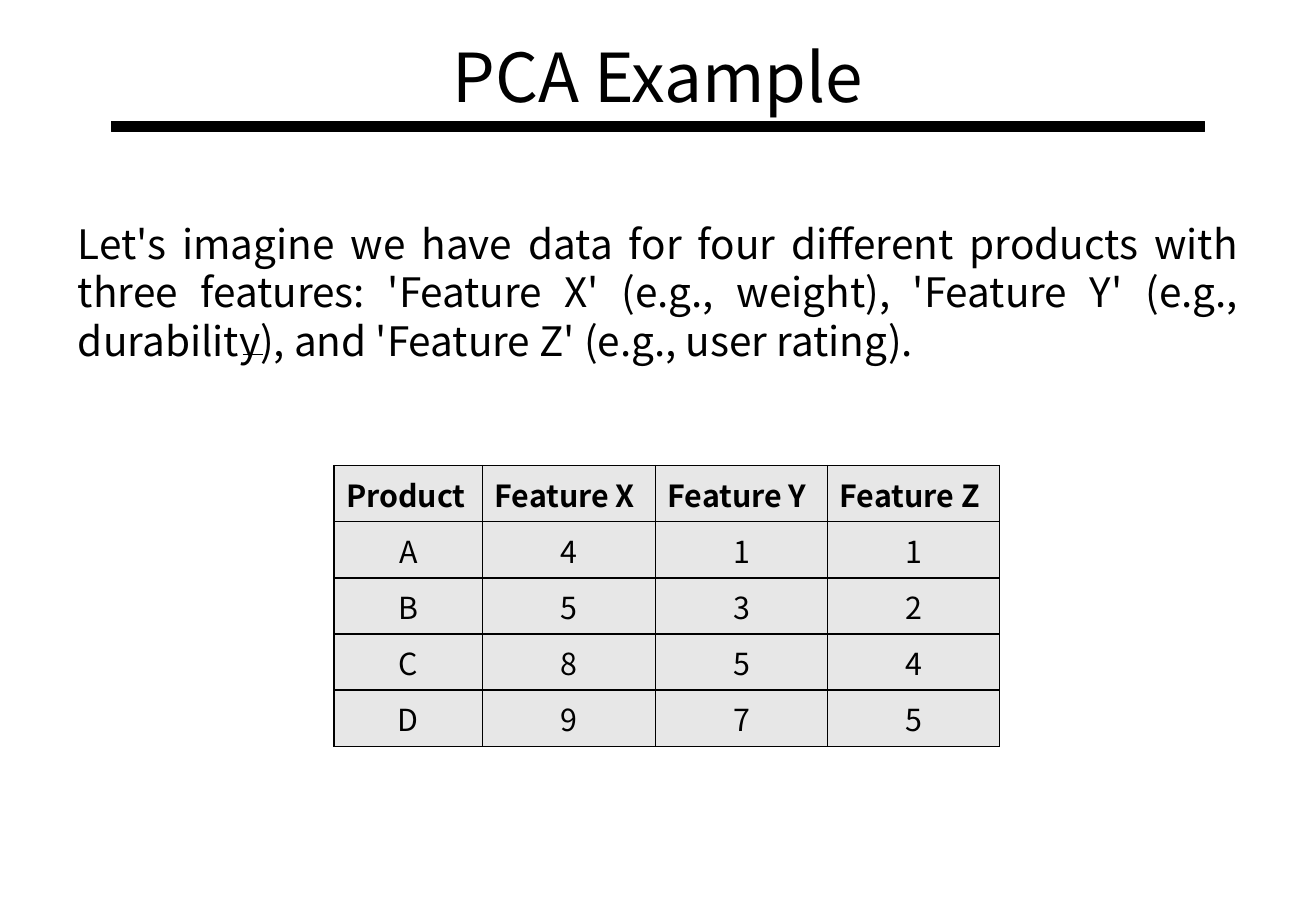
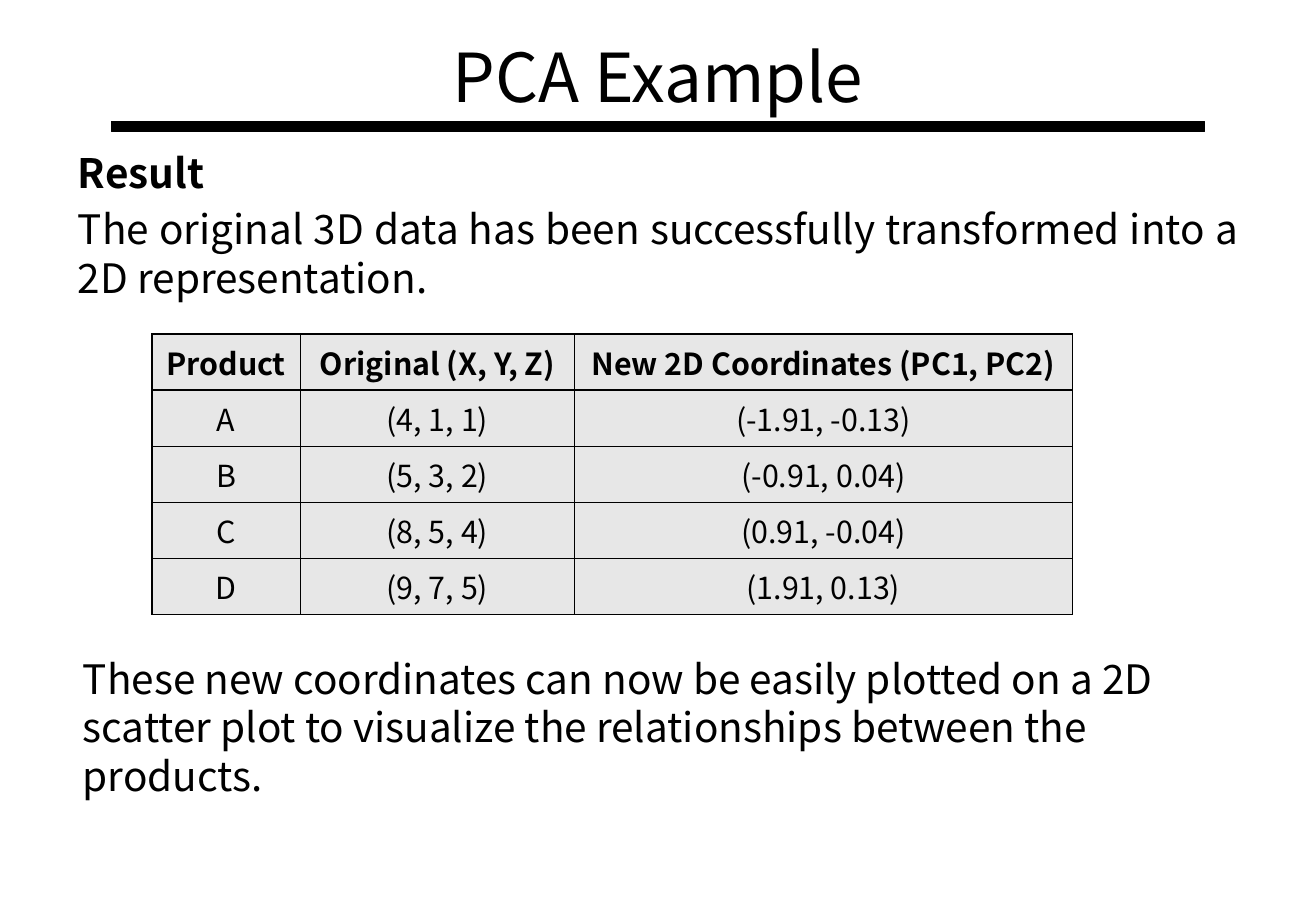
from lxml import etree
from pptx import Presentation
from pptx.dml.color import RGBColor
from pptx.enum.shapes import MSO_CONNECTOR, MSO_SHAPE
from pptx.enum.text import MSO_ANCHOR, MSO_AUTO_SIZE, PP_ALIGN
from pptx.oxml.ns import qn
from pptx.util import Pt

RECT = MSO_SHAPE.RECTANGLE
LINE = MSO_CONNECTOR.STRAIGHT
MID, TOP = MSO_ANCHOR.MIDDLE, MSO_ANCHOR.TOP
LEFT, CENTER, JUST = PP_ALIGN.LEFT, PP_ALIGN.CENTER, PP_ALIGN.JUSTIFY
FIXED = MSO_AUTO_SIZE.NONE

FONT = "Noto Sans CJK KR"
INK = {"text": "000000", "rule": "000000", "cell": "E7E7E7"}
ROW = 33.2


def color(name):
    return RGBColor.from_string(INK[name])


def place(shape, box):
    shape.left, shape.top, shape.width, shape.height = map(Pt, box)


def style(para, size, align, bold=False):
    para.alignment = align
    for run in para.runs:
        font = run.font
        font.name, font.size, font.bold = FONT, Pt(size), bold
        font.color.rgb = color("text")


def plain(para):
    props = para._p.get_or_add_pPr()
    props.set("marL", "0")
    props.set("indent", "0")
    etree.SubElement(props, qn("a:buNone"))


def add_head(slide, box):
    x, y, w, h = box
    title = slide.shapes.title
    place(title, (x, y, w, h - 18))
    frame = title.text_frame
    frame.text = "PCA Example"
    frame.auto_size = FIXED
    frame.vertical_anchor = MID
    style(frame.paragraphs[0], 40, CENTER)
    bar = slide.shapes.add_shape(RECT, Pt(x), Pt(y + h - 36), Pt(w), Pt(6))
    bar.shadow.inherit = False
    bar.fill.solid()
    bar.fill.fore_color.rgb = color("rule")
    bar.line.color.rgb = color("rule")
    bar.line.width = Pt(0.75)


def add_body(slide, box, items):
    body = slide.placeholders[1]
    place(body, box)
    frame = body.text_frame
    frame.text = "\n".join(text for text, bold in items)
    frame.auto_size = FIXED
    frame.vertical_anchor = TOP
    for para, (text, bold) in zip(frame.paragraphs, items):
        plain(para)
        style(para, 24, JUST, bold)
    frame.paragraphs[0].space_before = Pt(0)


def add_note(slide, box, text):
    frame = slide.shapes.add_textbox(*map(Pt, box)).text_frame
    frame.word_wrap = True
    frame.text = text
    style(frame.paragraphs[0], 24, LEFT)


def add_dash(slide, x, y, w):
    dash = slide.shapes.add_connector(LINE, Pt(x), Pt(y), Pt(x + w), Pt(y))
    dash.line.color.rgb = color("rule")
    dash.line.width = Pt(0.75)
    etree.SubElement(dash._element.spPr, qn("a:effectLst"))


def frame_cell(cell):
    props = cell._tc.get_or_add_tcPr()
    for i, side in enumerate(("a:lnL", "a:lnR", "a:lnT", "a:lnB")):
        edge = etree.Element(qn(side), w=str(Pt(1)))
        fill = etree.SubElement(edge, qn("a:solidFill"))
        etree.SubElement(fill, qn("a:srgbClr"), val=INK["rule"])
        props.insert(i, edge)


def add_grid(slide, x, y, widths, rows, head):
    size = Pt(sum(widths)), Pt(ROW * len(rows))
    table = slide.shapes.add_table(
        len(rows), len(widths), Pt(x), Pt(y), *size).table
    for col, width in zip(table.columns, widths):
        col.width = Pt(width)
    for r, row in enumerate(rows):
        table.rows[r].height = Pt(ROW)
        for c, text in enumerate(row):
            cell = table.cell(r, c)
            cell.text = text
            cell.vertical_anchor = MID
            cell.fill.solid()
            cell.fill.fore_color.rgb = color("cell")
            frame_cell(cell)
            para = cell.text_frame.paragraphs[0]
            style(para, 18, CENTER if r else head, r == 0)


def add_page(deck):
    slide = deck.slides.add_slide(deck.slide_layouts[1])
    add_head(slide, (66, 0, 648, 108))
    return slide


def add_data(deck):
    slide = add_page(deck)
    add_body(slide, (39, 126, 702, 356), [
        ("Let's imagine we have data for four different products with three "
         "features: 'Feature X' (e.g., weight), 'Feature Y' (e.g., "
         "durability), and 'Feature Z' (e.g., user rating).", False)])
    add_dash(slide, 144, 210, 12)
    add_grid(slide, 198, 276, (88, 102.6, 102, 102), [
        ("Product", "Feature X", "Feature Y", "Feature Z"),
        ("A", "4", "1", "1"),
        ("B", "5", "3", "2"),
        ("C", "8", "5", "4"),
        ("D", "9", "7", "5")], LEFT)


def add_result(deck):
    slide = add_page(deck)
    add_body(slide, (39, 84, 702, 398), [
        ("Result", True),
        ("The original 3D data has been successfully transformed into a "
         "2D representation.", False)])
    add_grid(slide, 90, 198, (88, 162.6, 295), [
        ("Product", "Original (X, Y, Z)", "New 2D Coordinates (PC1, PC2)"),
        ("A", "(4, 1, 1)", "(-1.91, -0.13)"),
        ("B", "(5, 3, 2)", "(-0.91, 0.04)"),
        ("C", "(8, 5, 4)", "(0.91, -0.04)"),
        ("D", "(9, 7, 5)", "(1.91, 0.13)")], CENTER)
    add_note(slide, (42, 384, 666, 94),
             "These new coordinates can now be easily plotted on a 2D "
             "scatter plot to visualize the relationships between the "
             "products.")


def main():
    deck = Presentation()
    deck.slide_width, deck.slide_height = Pt(780), Pt(540)
    add_data(deck)
    add_result(deck)
    deck.save("out.pptx")


if __name__ == "__main__":
    main()
